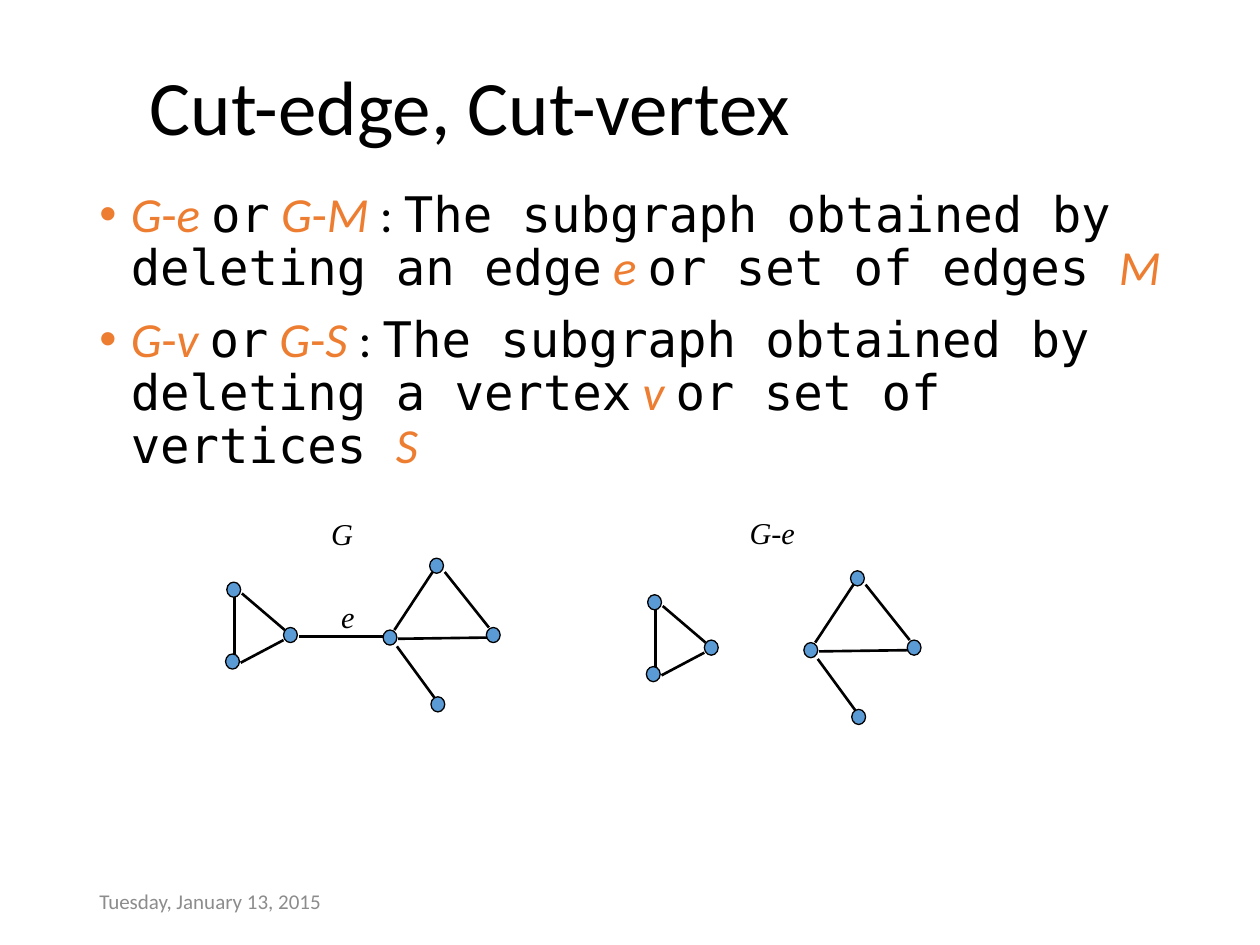
from lxml.etree import SubElement
from pptx import Presentation
from pptx.dml.color import RGBColor
from pptx.enum.shapes import MSO_CONNECTOR, MSO_SHAPE
from pptx.enum.text import MSO_ANCHOR, PP_ALIGN
from pptx.oxml.ns import qn
from pptx.util import Inches, Pt

BLACK = RGBColor(0x00, 0x00, 0x00)
ORANGE = RGBColor(0xED, 0x7D, 0x31)
BLUE = RGBColor(0x5B, 0x9B, 0xD5)
GRAY = RGBColor(0x8C, 0x8C, 0x8C)

SANS, MONO, SERIF = "Calibri", "DejaVu Sans Mono", "Times New Roman"
SPAN_STYLES = {
    "symbol": (SANS, ORANGE, True),
    "minus": (SANS, ORANGE, False),
    "colon": (SANS, BLACK, False),
    "words": (MONO, BLACK, False),
}

VERTICES = [(1.8, 4.62), (1.79, 5.19), (2.25, 4.98), (3.04, 5.0),
            (3.41, 4.43), (3.42, 5.53), (3.86, 4.98)]
EDGES = [(1.86, 4.73, 1.86, 5.19), (1.92, 4.71, 2.26, 5.0),
         (1.91, 5.26, 2.25, 5.08), (3.44, 4.53, 3.13, 5.0),
         (3.15, 5.13, 3.45, 5.54), (3.53, 4.54, 3.88, 4.98),
         (3.16, 5.07, 3.88, 5.06)]
CUT_EDGE = (2.37, 5.05, 3.04, 5.05)


class SlideBuilder:
    """Holds the slide and its style, and adds each kind of element."""

    def __init__(self, slide):
        self.slide = slide

    def format_span(self, span, size, font, color, italic=False):
        span.font.size = Pt(size)
        span.font.name = font
        span.font.color.rgb = color
        span.font.italic = italic

    def title(self, text, left, top, width, height):
        box = self.slide.shapes.title
        box.left, box.top = Inches(left), Inches(top)
        box.width, box.height = Inches(width), Inches(height)
        box.text_frame.text = text
        box.text_frame.vertical_anchor = MSO_ANCHOR.MIDDLE
        para = box.text_frame.paragraphs[0]
        para.alignment = PP_ALIGN.LEFT
        para.line_spacing = 0.9
        self.format_span(para.runs[0], 44, SANS, BLACK)

    def text_box(self, left, top, width, height):
        box = self.slide.shapes.add_textbox(
            Inches(left), Inches(top), Inches(width), Inches(height))
        box.text_frame.word_wrap = True
        return box.text_frame

    def bullets(self, items, left, top, width, height):
        frame = self.text_box(left, top, width, height)
        for index, item in enumerate(items):
            para = frame.add_paragraph() if index else frame.paragraphs[0]
            para.line_spacing = 0.9
            para.space_before = Pt(11.2)
            properties = para._p.get_or_add_pPr()
            properties.set("marL", str(Inches(0.25)))
            properties.set("indent", str(Inches(-0.25)))
            SubElement(properties, qn("a:buFont")).set("typeface", "Arial")
            SubElement(properties, qn("a:buChar")).set("char", "•")
            for text, style in item:
                span = para.add_run()
                span.text = text
                self.format_span(span, 28, *SPAN_STYLES[style])

    def label(self, parts, left, top, width):
        para = self.text_box(left, top, width, 0.39).paragraphs[0]
        para.space_before = Pt(8.6)
        for part in parts:
            span = para.add_run()
            span.text = part
            self.format_span(span, 17.3, SERIF, BLACK, part != "-")

    def date(self, text, left, top, width, height):
        frame = self.text_box(left, top, width, height)
        frame.vertical_anchor = MSO_ANCHOR.MIDDLE
        frame.text = text
        self.format_span(frame.paragraphs[0].runs[0], 12, SANS, GRAY)

    def vertex(self, left, top):
        dot = self.slide.shapes.add_shape(
            MSO_SHAPE.OVAL, Inches(left), Inches(top), Inches(0.11), Inches(0.12))
        dot.shadow.inherit = False
        dot.fill.solid()
        dot.fill.fore_color.rgb = BLUE
        dot.line.color.rgb = BLACK
        dot.line.width = Pt(0.75)

    def edge(self, *ends):
        line = self.slide.shapes.add_connector(
            MSO_CONNECTOR.STRAIGHT, *(Inches(end) for end in ends))
        line.line.color.rgb = BLACK
        line.line.width = Pt(1.5)
        SubElement(line._element.spPr, qn("a:effectLst"))

    def graph(self, edges, shift_x=0, shift_y=0):
        for x1, y1, x2, y2 in edges:
            self.edge(x1 + shift_x, y1 + shift_y, x2 + shift_x, y2 + shift_y)
        for left, top in VERTICES:
            self.vertex(left + shift_x, top + shift_y)


def definition(element, group, kind, group_name):
    """Return the styled spans that define removing an element or a group."""
    return [
        ("G", "symbol"), ("-", "minus"), (f"{element} ", "symbol"),
        ("or", "words"),
        (" G", "symbol"), ("-", "minus"), (group, "symbol"),
        (" : ", "colon"),
        (f"The subgraph obtained by deleting {kind}", "words"),
        (f" {element} ", "symbol"),
        (f"or set of {group_name} ", "words"),
        (group, "symbol"),
    ]


def main():
    deck = Presentation()
    deck.slide_width, deck.slide_height = Inches(10), Inches(7.5)
    page = SlideBuilder(deck.slides.add_slide(deck.slide_layouts[5]))
    page.title("Cut-edge, Cut-vertex", 1.09, 0.34, 7.82, 1.08)
    page.bullets([definition("e", "M", "an edge", "edges"),
                  definition("v", "S", "a vertex", "vertices")],
                 0.69, 1.46, 8.74, 2.44)
    page.graph(EDGES + [CUT_EDGE])
    page.graph(EDGES, 3.34, 0.1)
    page.label(["G"], 2.53, 4.04, 0.72)
    page.label(["e"], 2.61, 4.7, 0.41)
    page.label(["G", "-", "e"], 5.85, 4.03, 0.81)
    page.date("Tuesday, January 13, 2015", 0.69, 6.95, 2.25, 0.4)
    deck.save("out.pptx")


if __name__ == "__main__":
    main()
